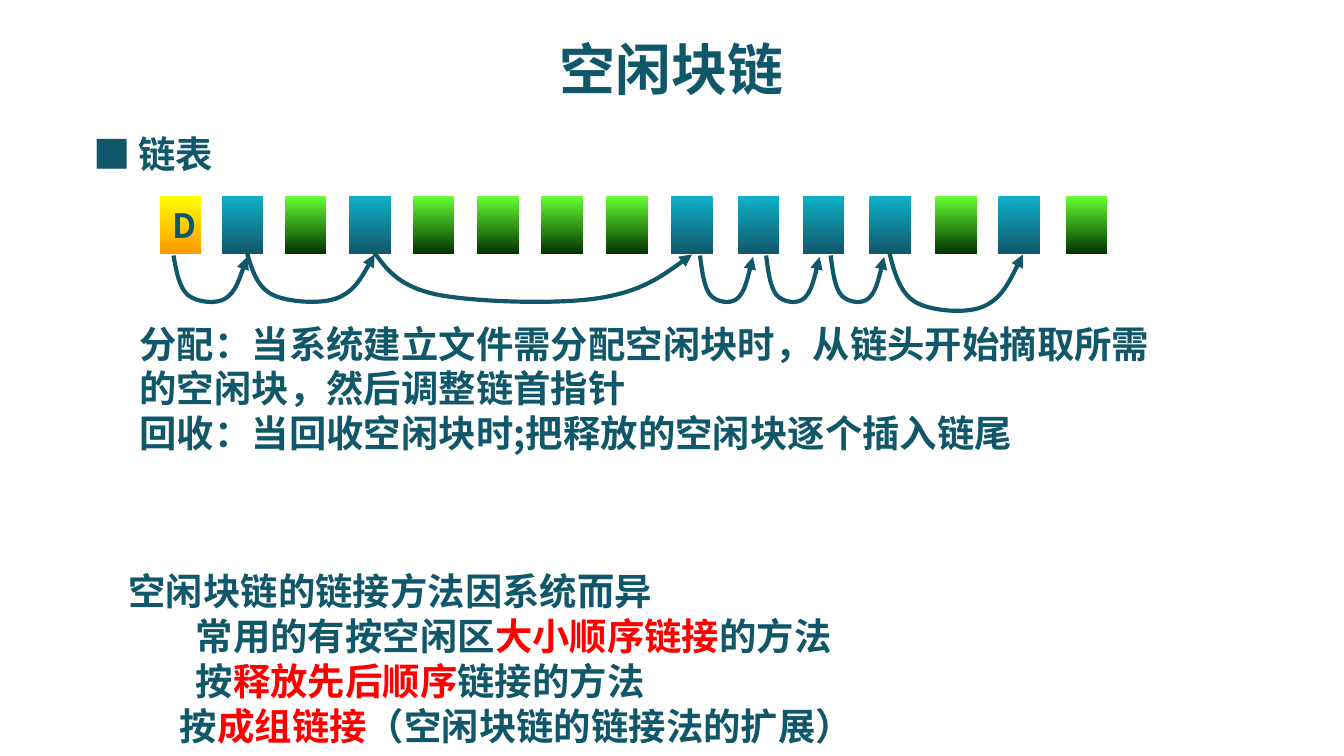
from typing import NamedTuple

from lxml.etree import SubElement
from pptx import Presentation
from pptx.dml.color import RGBColor
from pptx.enum.shapes import MSO_SHAPE as Shape
from pptx.enum.text import MSO_ANCHOR as Anchor, PP_ALIGN as Align
from pptx.oxml.ns import qn
from pptx.util import Cm, Pt

COLORS = {"ink": "11576A", "accent": "FF0000"}
GRADIENTS = {
    "head": ("FFFF00", "FF9900"),
    "free": ("0EB1C8", "11576A"),
    "used": ("66FF33", "003300"),
}
FONT = "Noto Sans CJK SC"
BLOCK_TOP, BLOCK_WIDTH, BLOCK_HEIGHT = 3.71, 0.79, 1.09

# Bezier points of a link, as fractions of its width and depth
LINK_CURVE = [
    (0, 0), (0.04, 0.34), (0.08, 0.66), (0.2, 0.81), (0.32, 0.95),
    (0.58, 1), (0.71, 0.87), (0.84, 0.74), (0.92, 0.39), (1, 0.03),
]


class Block(NamedTuple):
    left: float
    kind: str
    label: str = ""


class Link(NamedTuple):
    start: float
    end: float
    top: float
    depth: float


class Line(NamedTuple):
    """A paragraph; its odd-numbered pieces are emphasised."""
    pieces: tuple[str, ...]
    indent: float = 0


BLOCKS = [
    Block(3.02, "head", "D"), Block(4.19, "free"), Block(5.38, "used"),
    Block(6.6, "free"), Block(7.8, "used"), Block(9.02, "used"),
    Block(10.23, "used"), Block(11.46, "used"), Block(12.68, "free"),
    Block(13.94, "free"), Block(15.17, "free"), Block(16.43, "free"),
    Block(17.68, "used"), Block(18.87, "free"), Block(20.14, "used"),
]
LINKS = [
    Link(3.28, 4.67, 4.83, 0.93), Link(4.67, 7.08, 4.78, 0.98),
    Link(7.08, 13.08, 4.78, 0.98), Link(13.23, 14.23, 4.83, 0.93),
    Link(14.48, 15.49, 4.83, 0.93), Link(15.7, 16.71, 4.83, 0.93),
    Link(16.81, 19.33, 4.78, 1.16),
]
ALLOCATION = [
    Line(("分配：当系统建立文件需分配空闲块时，从链头开始摘取所需的空闲块，然后调整链首指针",)),
    Line(("回收：当回收空闲块时;把释放的空闲块逐个插入链尾",)),
]
METHODS = [
    Line(("空闲块链的链接方法因系统而异",)),
    Line(("常用的有按空闲区", "大小顺序链接", "的方法"), 1.27),
    Line(("按", "释放先后顺序", "链接的方法"), 1.27),
    Line(("按", "成组链接", "（空闲块链的链接法的扩展）"), 0.97),
]


def rgb(name: str) -> RGBColor:
    return RGBColor.from_string(COLORS[name])


def style(p, size: float, font: str = FONT) -> None:
    p.font.name, p.font.size, p.font.bold = font, Pt(size), True
    p.font.color.rgb = rgb("ink")
    props = p._p.pPr.find(qn("a:defRPr"))
    SubElement(props, qn("a:ea")).set("typeface", font)


def add_text(s, left: float, top: float, width: float, height: float,
             lines: list[Line], font: str = FONT) -> None:
    tf = s.shapes.add_textbox(Cm(left), Cm(top), Cm(width), Cm(height)).text_frame
    tf.word_wrap = True
    for i, line in enumerate(lines):
        p = tf.add_paragraph() if i else tf.paragraphs[0]
        p._p.get_or_add_pPr().set("marL", str(Cm(line.indent)))
        p.line_spacing = Pt(24)
        style(p, 20, font)
        for j, piece in enumerate(line.pieces):
            r = p.add_run()
            r.text = piece
            if j % 2:
                r.font.color.rgb = rgb("accent")


def add_block(s, block: Block) -> None:
    sp = s.shapes.add_shape(Shape.RECTANGLE, Cm(block.left), Cm(BLOCK_TOP),
                            Cm(BLOCK_WIDTH), Cm(BLOCK_HEIGHT))
    sp.shadow.inherit = False
    sp.line.fill.background()
    sp.fill.gradient()
    sp.fill.gradient_angle = 270
    for stop, color in zip(sp.fill.gradient_stops, GRADIENTS[block.kind]):
        stop.color.rgb = RGBColor.from_string(color)
    if block.label:
        tf = sp.text_frame
        tf.vertical_anchor = Anchor.MIDDLE
        p = tf.paragraphs[0]
        p.text, p.alignment = block.label, Align.CENTER
        style(p, 18)


def add_link(s, link: Link) -> None:
    """Draw a curved arrow: a polyline whose points are regrouped as Bezier curves."""
    points = [(Cm(link.start + x * (link.end - link.start)),
               Cm(link.top + y * link.depth)) for x, y in LINK_CURVE]
    builder = s.shapes.build_freeform(*points[0])
    builder.add_line_segments(points[1:], close=False)
    sp = builder.convert_to_shape()
    sp.shadow.inherit = False
    sp.fill.background()
    sp.line.color.rgb = rgb("ink")
    sp.line.width = Pt(2.25)
    ln = sp._element.spPr.find(qn("a:ln"))
    SubElement(ln, qn("a:tailEnd")).set("type", "triangle")

    outline = sp._element.find(".//" + qn("a:path"))
    segments = outline.findall(qn("a:lnTo"))
    for i in range(0, len(segments), 3):
        curve = SubElement(outline, qn("a:cubicBezTo"))
        for segment in segments[i:i + 3]:
            curve.append(segment[0])
            outline.remove(segment)


def add_title(s, text: str) -> None:
    title = s.shapes.title
    title.left, title.top, title.width, title.height = Cm(1.27), Cm(0.58), Cm(22.86), Cm(1.42)
    tf = title.text_frame
    tf.vertical_anchor = Anchor.MIDDLE
    p = tf.paragraphs[0]
    p.text, p.alignment = text, Align.CENTER
    style(p, 30)


def main() -> None:
    prs = Presentation()
    prs.slide_width, prs.slide_height = Cm(25.4), Cm(14.29)
    s = prs.slides.add_slide(prs.slide_layouts[5])
    add_title(s, "空闲块链")
    add_text(s, 1.52, 2.36, 1.2, 1.12, [Line(("■",))], "Noto Sans CJK JP")
    add_text(s, 2.36, 2.36, 3.96, 1.19, [Line(("链表",))])
    for block in BLOCKS:
        add_block(s, block)
    for link in LINKS:
        add_link(s, link)
    add_text(s, 2.39, 5.94, 20.04, 2.82, ALLOCATION)
    add_text(s, 2.18, 10.62, 21.03, 5.38, METHODS)
    prs.save("out.pptx")


if __name__ == "__main__":
    main()
